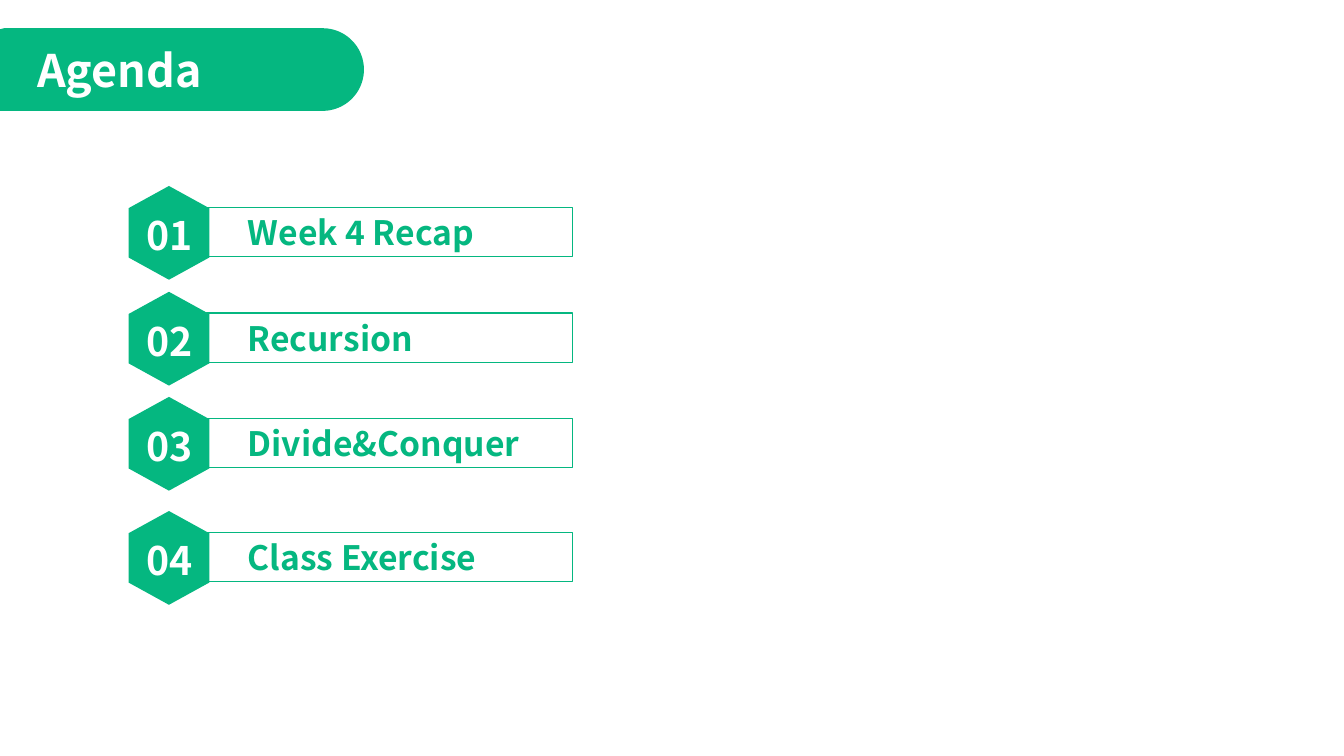
"""Build an agenda slide with a title banner and four numbered topics."""
import math
from dataclasses import dataclass

from pptx import Presentation
from pptx import util as u
from pptx.dml.color import RGBColor
from pptx.enum import shapes, text

WIDTH, HEIGHT = 13.33, 7.5
FONT = "Noto Sans CJK SC"
COLOURS = {"green": "05B780", "white": "FFFFFF"}


@dataclass(frozen=True)
class Area:
    """A rectangle in percent of the slide's width and height."""
    left: float
    top: float
    width: float
    height: float

    def emu(self) -> tuple[int, int, int, int]:
        return across(self.left), down(self.top), across(self.width), down(self.height)


@dataclass(frozen=True)
class Topic:
    """An agenda entry: its wording, vertical centre and label width in percent."""
    title: str
    centre: float
    label_width: float


TOPICS = (
    Topic("Week 4 Recap", 30.7, 20.48),
    Topic("Recursion", 44.7, 20.48),
    Topic("Divide&Conquer", 58.6, 24.98),
    Topic("Class Exercise", 73.7, 19.43),
)


def across(percent: float) -> int:
    """Convert a share of the slide's width to EMU."""
    return u.Inches(WIDTH * percent / 100)


def down(percent: float) -> int:
    """Convert a share of the slide's height to EMU."""
    return u.Inches(HEIGHT * percent / 100)


def centred(left: float, centre: float, width: float, height: float) -> Area:
    """Return an area placed around a vertical centre."""
    return Area(left, centre - height / 2, width, height)


def colour(name: str) -> RGBColor:
    """Look up a palette colour."""
    return RGBColor.from_string(COLOURS[name])


def fill_plain(shape) -> None:
    """Give a shape a flat green fill without line or shadow."""
    shape.shadow.inherit = False
    shape.fill.solid()
    shape.fill.fore_color.rgb = colour("green")
    shape.line.fill.background()


def add_words(holder, area: Area, words: str, size: int, tint: str) -> None:
    """Add a bold single-line text box to a shape collection."""
    box = holder.add_textbox(*area.emu())
    frame = box.text_frame
    frame.word_wrap = True
    frame.auto_size = text.MSO_AUTO_SIZE.SHAPE_TO_FIT_TEXT
    span = frame.paragraphs[0].add_run()
    span.text = words
    span.font.name = FONT
    span.font.size = u.Pt(size)
    span.font.bold = True
    span.font.color.rgb = colour(tint)


def add_banner(page) -> None:
    """Draw the title banner with its round right end."""
    centre_x, centre_y, radius, steps = 3.2, 0.69, 0.41, 48
    angles = [math.pi * (step / steps - 0.5) for step in range(steps + 1)]
    outline = [(centre_x + radius * math.cos(a), centre_y + radius * math.sin(a)) for a in angles]
    outline += [(0, centre_y + radius), (0, centre_y - radius + 0.01)]
    builder = page.shapes.build_freeform(
        u.Inches(0.04), u.Inches(centre_y - radius), scale=1.0)
    builder.add_line_segments([(u.Inches(x), u.Inches(y)) for x, y in outline])
    fill_plain(builder.convert_to_shape())
    add_words(page.shapes, Area(2.03, 4.93, 22.96, 8.53), "Agenda", 32, "white")


def add_topic(page, number: int, topic: Topic) -> None:
    """Draw one framed topic with its numbered hexagon."""
    frame = page.shapes.add_shape(
        shapes.MSO_SHAPE.RECTANGLE, *centred(15.38, topic.centre, 27.23, 6.53).emu())
    frame.shadow.inherit = False
    frame.fill.background()
    frame.line.color.rgb = colour("green")
    frame.line.width = u.Pt(1)
    label = centred(17.7, topic.centre, topic.label_width, 6.67)
    add_words(page.shapes, label, topic.title, 24, "green")

    badge = page.shapes.add_group_shape()
    hexagon = badge.shapes.add_shape(
        shapes.MSO_SHAPE.HEXAGON, *centred(9.08, topic.centre + 0.1, 6.98, 10.67).emu())
    hexagon.rotation = 90
    hexagon.adjustments[0] = 0.275
    fill_plain(hexagon)
    digits = centred(10.13, topic.centre + 0.4, 6.15, 7.6)
    add_words(badge.shapes, digits, f"{number:02}", 28, "white")


def main() -> None:
    """Assemble and save the deck."""
    deck = Presentation()
    deck.slide_width, deck.slide_height = u.Inches(WIDTH), u.Inches(HEIGHT)
    page = deck.slides.add_slide(deck.slide_layouts[6])
    add_banner(page)
    for number, topic in enumerate(TOPICS, start=1):
        add_topic(page, number, topic)
    deck.save("out.pptx")


if __name__ == "__main__":
    main()
